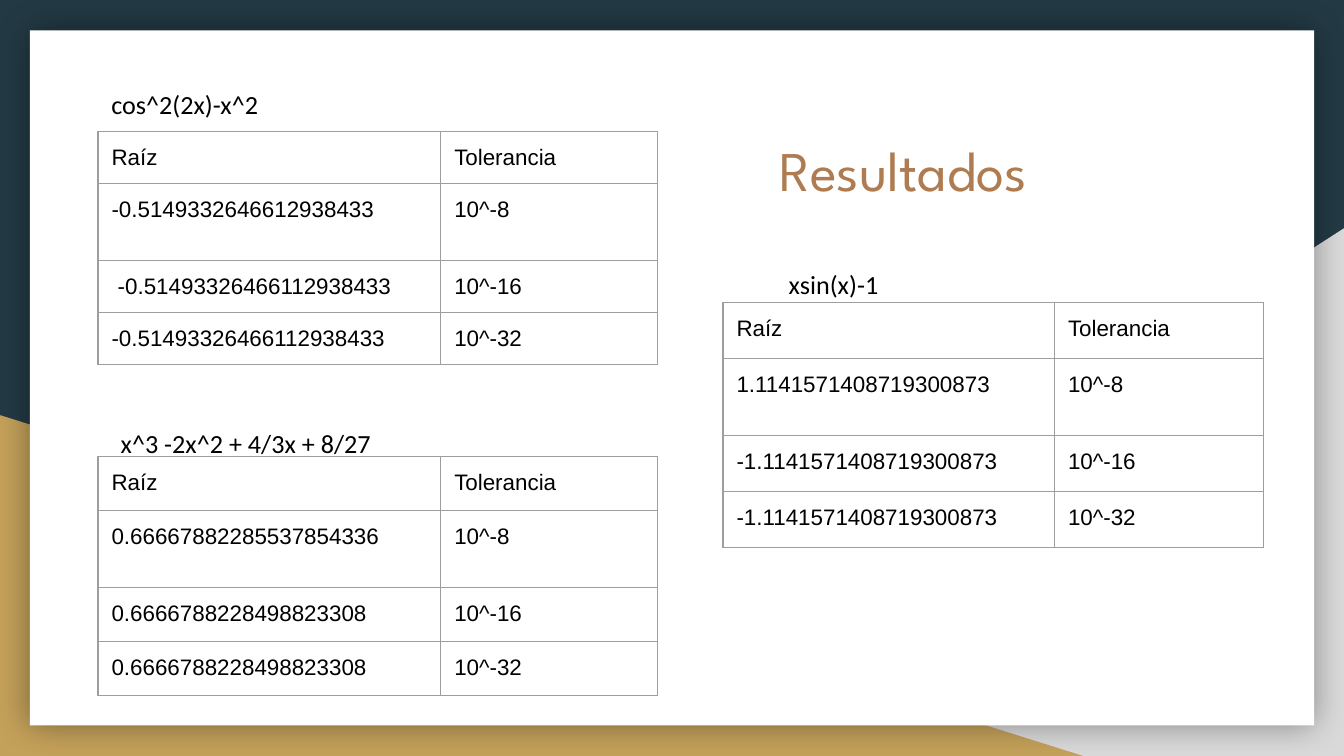
from lxml.etree import SubElement
from pptx import Presentation
from pptx.dml.color import RGBColor as RGB
from pptx.enum.shapes import MSO_SHAPE as Shape
from pptx.enum.text import MSO_ANCHOR as Anchor, PP_ALIGN as Align
from pptx.oxml.ns import qn
from pptx.util import Pt

# Content
TITLE = "Resultados"
HEADER = ("Raíz", "Tolerancia")
TOLERANCES = ("10^-8", "10^-16", "10^-32")
RESULTS = [
    {"formula": "cos^2(2x)-x^2", "caption_box": (52.56, 40.32, 211, 30),
     "roots": ("-0.5149332646612938433", " -0.51493326466112938433",
               "-0.51493326466112938433"),
     "at": (52.56, 70.5), "columns": (183.6, 116), "row_height": 27.86},
    {"formula": "xsin(x)-1", "caption_box": (415.44, 136.8, 128, 23),
     "roots": ("1.1141571408719300873", "-1.1141571408719300873",
               "-1.1141571408719300873"),
     "at": (387.36, 162), "columns": (177.6, 111.9), "row_height": 30},
    {"formula": "x^3 -2x^2 + 4/3x + 8/27", "caption_box": (57.6, 221.76, 164, 23),
     "roots": ("0.66667882285537854336", "0.6666788228498823308",
               "0.6666788228498823308"),
     "at": (52.56, 244.7), "columns": (183.6, 116), "row_height": 27.86},
]
FIRST_ROOT_HEIGHT = 41.25
COLORS = {"navy": "233A44", "gray": "D9D9D9", "gold": "C4A15A", "card": "FFFFFF",
          "title": "AF7B51", "text": "000000", "border": "9E9E9E"}
WIDTH, HEIGHT, INSET = 720, 405, 7.2


def write(frame, text, size=12, font="Arial", color="text"):
    frame.word_wrap = True
    frame.margin_left = frame.margin_right = Pt(INSET)
    frame.margin_top = frame.margin_bottom = Pt(INSET)
    frame.vertical_anchor = Anchor.TOP
    paragraph = frame.paragraphs[0]
    paragraph.alignment = Align.LEFT
    run = paragraph.add_run()
    run.text = text
    run.font.size, run.font.name = Pt(size), font
    run.font.color.rgb = RGB.from_string(COLORS[color])


def add_panel(kind, box, color):
    panel = slide.shapes.add_shape(kind, *map(Pt, box))
    panel.fill.solid()
    panel.fill.fore_color.rgb = RGB.from_string(COLORS[color])
    panel.line.fill.background()
    panel.shadow.inherit = False
    return panel


def add_glow(panel):
    effects = panel.element.spPr.find(qn("a:effectLst"))
    shadow = SubElement(effects, qn("a:outerShdw"), blurRad=str(Pt(18)),
                        dist="0", dir="0", algn="ctr", rotWithShape="0")
    tint = SubElement(shadow, qn("a:srgbClr"), val=COLORS["text"])
    SubElement(tint, qn("a:alpha"), val="40000")


def add_borders(cell):
    properties = cell._tc.get_or_add_tcPr()
    for position, side in enumerate(("lnL", "lnR", "lnT", "lnB")):
        border = SubElement(properties, qn(f"a:{side}"), w=str(Pt(0.75)))
        fill = SubElement(border, qn("a:solidFill"))
        SubElement(fill, qn("a:srgbClr"), val=COLORS["border"])
        properties.insert(position, border)


def add_results(result):
    rows = [HEADER, *zip(result["roots"], TOLERANCES)]
    heights = [result["row_height"]] * len(rows)
    heights[1] = FIRST_ROOT_HEIGHT
    size = sum(result["columns"]), sum(heights)
    table = slide.shapes.add_table(len(rows), len(HEADER),
                                   *map(Pt, result["at"] + size)).table
    table.first_row = table.horz_banding = False
    for column, width in zip(table.columns, result["columns"]):
        column.width = Pt(width)
    for row, height, values in zip(table.rows, heights, rows):
        row.height = Pt(height)
        for cell, value in zip(row.cells, values):
            cell.fill.background()
            cell.vertical_anchor = Anchor.TOP
            cell.margin_left = cell.margin_right = Pt(INSET)
            cell.margin_top = cell.margin_bottom = Pt(INSET)
            write(cell.text_frame, value)
            add_borders(cell)


deck = Presentation()
deck.slide_width, deck.slide_height = Pt(WIDTH), Pt(HEIGHT)
slide = deck.slides.add_slide(deck.slide_layouts[5])

# Background and card
slide.background.fill.solid()
slide.background.fill.fore_color.rgb = RGB.from_string(COLORS["navy"])
gray_corner = add_panel(Shape.RIGHT_TRIANGLE, (282.2, 122.3, 437.8, 282.7), "gray")
gray_corner.element.spPr.xfrm.set("flipH", "1")
add_panel(Shape.RIGHT_TRIANGLE, (0, 222.4, 580.3, 182.6), "gold")
add_glow(add_panel(Shape.RECTANGLE, (16, 16.3, 688, 372.4), "card"))

# Title, in front of the card
title = slide.shapes.title
title.left, title.top, title.width, title.height = map(Pt, (410.4, 65.5, 201.6, 45.4))
write(title.text_frame, TITLE, size=30, font="League Spartan", color="title")
title.element.getparent().append(title.element)

# Tables with their formulas
for result in RESULTS:
    add_results(result)
    caption = slide.shapes.add_textbox(*map(Pt, result["caption_box"]))
    write(caption.text_frame, result["formula"], size=14, font="Calibri")

deck.save("out.pptx")
